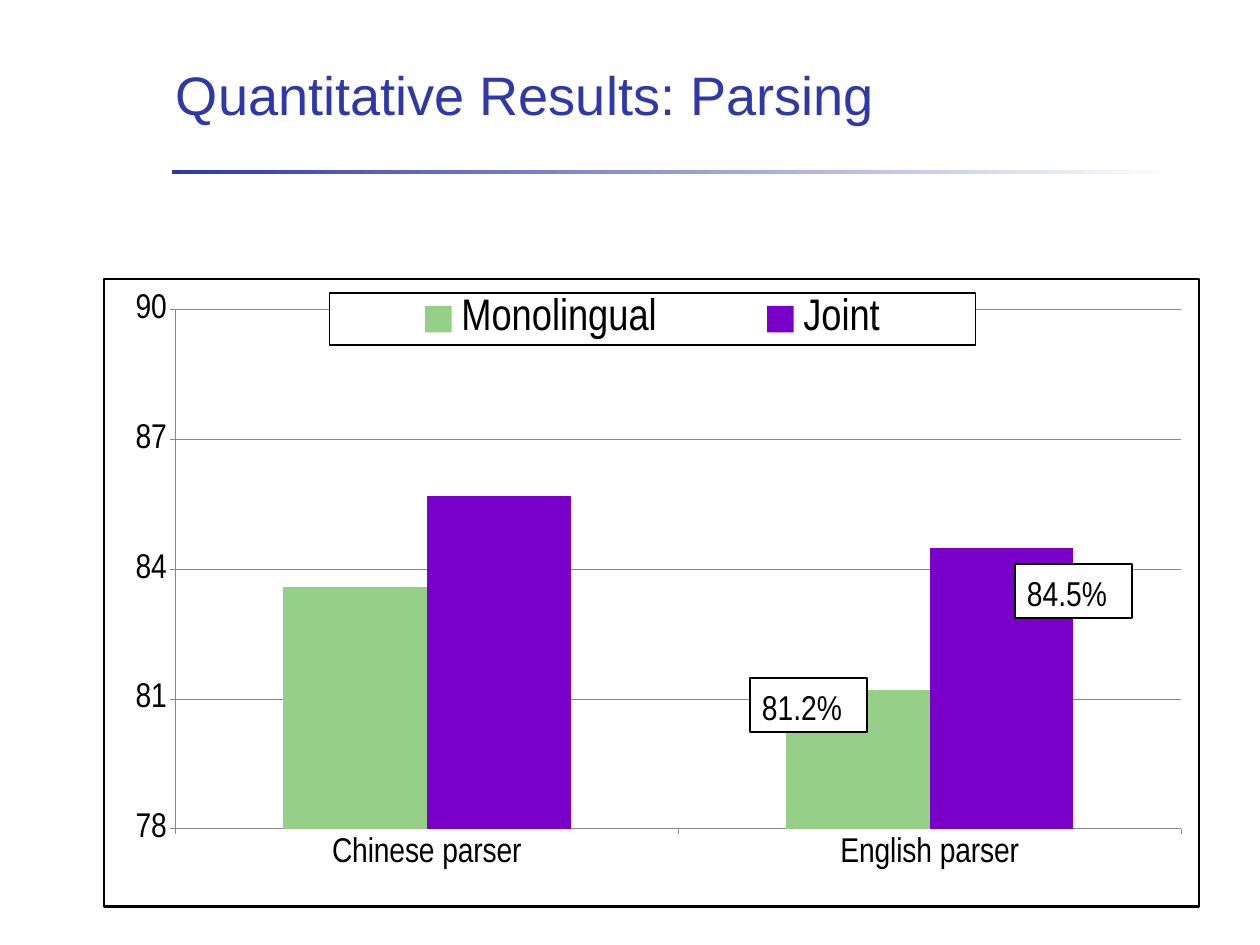
from lxml.etree import SubElement
from pptx import Presentation
from pptx.chart.data import CategoryChartData
from pptx.dml.color import RGBColor
from pptx.enum.chart import XL_CHART_TYPE, XL_LEGEND_POSITION, XL_TICK_MARK
from pptx.enum.shapes import MSO_SHAPE
from pptx.enum.text import MSO_ANCHOR, PP_ALIGN
from pptx.oxml import parse_xml
from pptx.oxml.ns import nsdecls, qn
from pptx.util import Pt

PX = 10320  # EMU in one px
BLUE = RGBColor(0x2E, 0x38, 0xA8)
BLACK = RGBColor(0, 0, 0)
WHITE = RGBColor(0xFF, 0xFF, 0xFF)
GRAY = RGBColor(0x88, 0x88, 0x88)
GREEN = RGBColor(0x96, 0xCF, 0x87)
PURPLE = RGBColor(0x78, 0x00, 0xC8)
NARROW = "Arial Narrow"


def scale(*spans):
    return [span * PX for span in spans]


def style(font, name, size, color):
    font.name = name
    font.size = Pt(size)
    font.color.rgb = color


def write(shape, text, name, size, color, top):
    frame = shape.text_frame
    frame.word_wrap = True
    frame.vertical_anchor = MSO_ANCHOR.MIDDLE
    frame.margin_left = frame.margin_right = 12 * PX
    frame.margin_top, frame.margin_bottom = top * PX, 6 * PX
    frame.text = text
    para = frame.paragraphs[0]
    para.alignment = PP_ALIGN.LEFT
    style(para.runs[0].font, name, size, color)


def add_title(slide, text):
    box = slide.shapes.add_textbox(*scale(164, 27, 1090, 109))
    write(box, text, "Arial", 44, BLUE, 30)


def add_rule(slide):
    rule = slide.shapes.add_shape(MSO_SHAPE.RECTANGLE, *scale(172, 170, 1007, 4))
    rule.shadow.inherit = False
    rule.line.fill.background()
    rule.fill.gradient()
    rule.fill.gradient_angle = 0
    for stop, color in zip(rule.fill.gradient_stops, (BLUE, WHITE)):
        stop.color.rgb = color


def add_label(slide, left, top, text):
    label = slide.shapes.add_shape(
        MSO_SHAPE.RECTANGLE, *scale(left, top, 117, 54))
    label.shadow.inherit = False
    label.fill.solid()
    label.fill.fore_color.rgb = WHITE
    label.line.color.rgb = BLACK
    label.line.width = Pt(1)
    write(label, text, NARROW, 28, BLACK, 10)


def add_border(node, width):
    """Give a chart part a white fill and a black line."""
    node.find(qn("c:txPr")).addprevious(parse_xml(
        f'<c:spPr {nsdecls("c", "a")}>'
        f'<a:solidFill><a:srgbClr val="{WHITE}"/></a:solidFill>'
        f'<a:ln w="{Pt(width)}"><a:solidFill><a:srgbClr val="{BLACK}"/>'
        '</a:solidFill></a:ln></c:spPr>'))


def place(node, after, inner, *spans):
    """Fix a chart part at x, y, w, h as shares of the chart."""
    for old in node.findall(qn("c:layout")):
        node.remove(old)
    layout = parse_xml(f'<c:layout {nsdecls("c")}><c:manualLayout/></c:layout>')
    parts = [("layoutTarget", "inner")] if inner else []
    parts += [("xMode", "edge"), ("yMode", "edge"), *zip("xywh", spans)]
    for tag, val in parts:
        SubElement(layout[0], qn(f"c:{tag}")).set("val", str(val))
    if after is None:
        node.insert(0, layout)
    else:
        after.addnext(layout)


def set_axis(axis):
    axis.major_tick_mark = XL_TICK_MARK.OUTSIDE
    axis.minor_tick_mark = XL_TICK_MARK.NONE
    axis.format.line.color.rgb = GRAY
    style(axis.tick_labels.font, NARROW, 28, BLACK)


def add_bars(slide):
    data = CategoryChartData(number_format="General")
    data.categories = ["Chinese parser", "English parser"]
    data.add_series("Monolingual", (83.6, 81.2))
    data.add_series("Joint", (85.7, 84.5))
    chart = slide.shapes.add_chart(
        XL_CHART_TYPE.COLUMN_CLUSTERED, *scale(103, 278, 1097, 630), data).chart
    chart.has_title = False
    style(chart.font, NARROW, 18, BLACK)
    add_border(chart.element if hasattr(chart, "element") else chart._chartSpace, 2)

    # Bars
    plot = chart.plots[0]
    plot.vary_by_categories = False
    plot.gap_width, plot.overlap = 150, 0
    for bars, color in zip(plot.series, (GREEN, PURPLE)):
        bars.format.fill.solid()
        bars.format.fill.fore_color.rgb = color
    area = chart._chartSpace.find(".//" + qn("c:plotArea"))
    place(area, None, True, 0.065, 0.049, 0.919, 0.827)

    # Axes
    set_axis(chart.category_axis)
    axis = chart.value_axis
    set_axis(axis)
    axis.minimum_scale, axis.maximum_scale, axis.major_unit = 78, 90, 3
    axis.has_major_gridlines = True
    axis.major_gridlines.format.line.color.rgb = GRAY

    # Legend
    chart.has_legend = True
    legend = chart.legend
    legend.position = XL_LEGEND_POSITION.TOP
    legend.include_in_layout = True
    style(legend.font, NARROW, 36, BLACK)
    node = legend._element
    place(node, node.find(qn("c:legendPos")), False, 0.206, 0.022, 0.59, 0.083)
    add_border(node, 1)


def main():
    deck = Presentation()
    deck.slide_width, deck.slide_height = scale(1260, 945)
    slide = deck.slides.add_slide(deck.slide_layouts[6])

    # Heading
    add_rule(slide)
    add_title(slide, "Quantitative Results: Parsing")

    # Chart and its value labels
    add_bars(slide)
    add_label(slide, 750, 678, "81.2%")
    add_label(slide, 1015, 564, "84.5%")

    deck.save("out.pptx")


if __name__ == "__main__":
    main()
